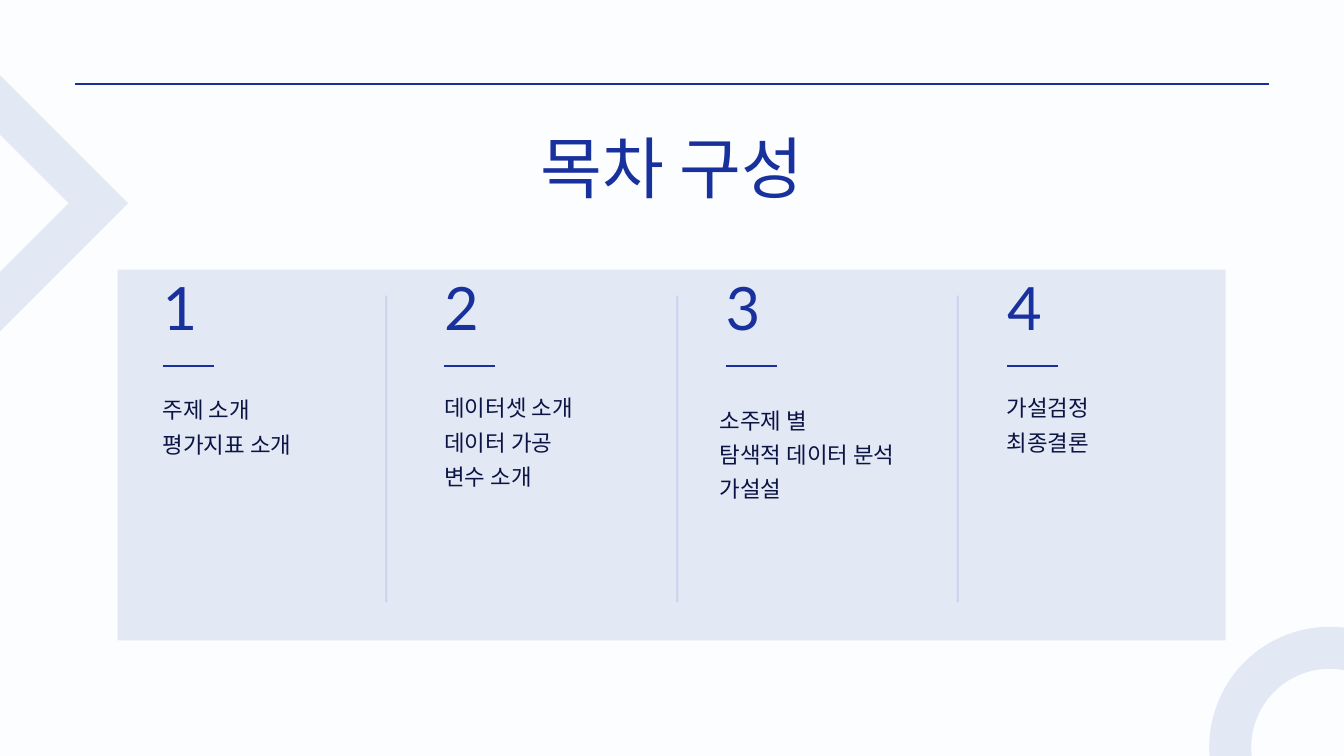
"""Build the contents slide with four numbered columns."""
from lxml.etree import SubElement
from pptx import Presentation
from pptx.dml.color import RGBColor
from pptx.enum.shapes import MSO_CONNECTOR, MSO_SHAPE as Shape
from pptx.enum.text import MSO_ANCHOR as Anchor, MSO_AUTO_SIZE as AutoSize, PP_ALIGN as Align
from pptx.oxml.ns import qn
from pptx.util import Cm, Pt

BLUE, NAVY, PAPER = "19319D", "0B1544", "FBFDFF"
LATIN, KOREAN = "Lato", "Noto Sans CJK KR"

TITLE = "목차 구성"
SECTIONS = [
    {"items": ["주제 소개", "평가지표 소개"], "left": 6.15, "top": 14.71},
    {"items": ["데이터셋 소개", "데이터 가공", "변수 소개"], "left": 16.79, "top": 14.63},
    {"items": ["소주제 별", "탐색적 데이터 분석", "가설설"], "left": 27.2, "top": 15.11},
    {"items": ["가설검정", "최종결론"], "left": 38.05, "top": 14.63},
]
DIVIDERS = [14.6, 25.6, 36.2]
FIRST_COLUMN, COLUMN_STEP = 6.15, 10.64


def paint(fill, color, opacity=100):
    fill.solid()
    fill.fore_color.rgb = RGBColor.from_string(color)
    if opacity < 100:
        node = fill._xPr.find(qn("a:solidFill"))[0]
        SubElement(node, qn("a:alpha"), val=str(opacity * 1000))


def add_line(page, x1, y1, x2, y2, opacity=100):
    line = page.shapes.add_connector(MSO_CONNECTOR.STRAIGHT, Cm(x1), Cm(y1), Cm(x2), Cm(y2))
    line.line.width = Pt(2.25)
    paint(line.line.fill, BLUE, opacity)
    SubElement(line._element.spPr, qn("a:effectLst"))


def add_shape(page, kind, left, top, width, height):
    shape = page.shapes.add_shape(kind, Cm(left), Cm(top), Cm(width), Cm(height))
    shape.shadow.inherit = False
    return shape


def add_outline(page, kind, left, top, size):
    shape = add_shape(page, kind, left, top, size, size)
    shape.fill.background()
    shape.line.width = Pt(45)
    paint(shape.line.fill, BLUE, 10)
    SubElement(shape.line._ln, qn("a:miter"), lim="800000")


def write(box, place, lines, size, spacing, font, color, align=Align.LEFT):
    box.left, box.top, box.width, box.height = map(Cm, place)
    frame = box.text_frame
    frame.text = "\n".join(lines)
    frame.word_wrap = True
    frame.auto_size = AutoSize.NONE
    frame.vertical_anchor = Anchor.TOP
    frame.margin_left = frame.margin_right = frame.margin_top = frame.margin_bottom = 0
    for para in frame.paragraphs:
        para.alignment = align
        para.line_spacing = Pt(spacing)
        para.space_before = Pt(0)
        properties = para._p.get_or_add_pPr()
        properties.set("marL", "0")
        properties.set("indent", "0")
        SubElement(properties, qn("a:buNone"))
        para.font.size = Pt(size)
        para.font.bold = False
        para.font.color.rgb = RGBColor.from_string(color)
        para.font.name = font
        SubElement(para.font._element, qn("a:ea"), typeface=KOREAN)


def main():
    deck = Presentation()
    deck.slide_width, deck.slide_height = Cm(50.8), Cm(28.58)
    page = deck.slides.add_slide(deck.slide_layouts.get_by_name("Comparison"))
    paint(page.background.fill, PAPER)
    title, *bodies = page.placeholders

    add_outline(page, Shape.OVAL, 46.5, 24.49, 7.52)
    add_outline(page, Shape.DIAMOND, -3.73, 3.96, 7.45)
    panel = add_shape(page, Shape.RECTANGLE, 4.45, 10.19, 41.88, 14.02)
    paint(panel.fill, BLUE, 10)
    panel.line.fill.background()
    add_line(page, 2.85, 3.18, 47.95, 3.18)
    for x in DIVIDERS:
        add_line(page, x, 11.18, x, 22.76, 10)

    write(title, (13.74, 5.33, 23.32, 3.1), [TITLE], 72, 70.5, LATIN, BLUE, Align.CENTER)
    for index, (section, body) in enumerate(zip(SECTIONS, bodies)):
        left = FIRST_COLUMN + index * COLUMN_STEP
        number = page.shapes.add_textbox(0, 0, 0, 0)
        write(number, (left, 10.74, 3.18, 2.74), [str(index + 1)], 64, 62.7, LATIN, BLUE)
        add_line(page, left, 13.85, left + 1.92, 13.85)
        items = section["items"]
        place = (section["left"], section["top"], 7.39, 1.25 * len(items))
        write(body, place, items, 24, 36.7, KOREAN, NAVY)
        page.shapes._spTree.append(body._element)
    page.shapes._spTree.append(title._element)
    deck.save("out.pptx")


if __name__ == "__main__":
    main()
